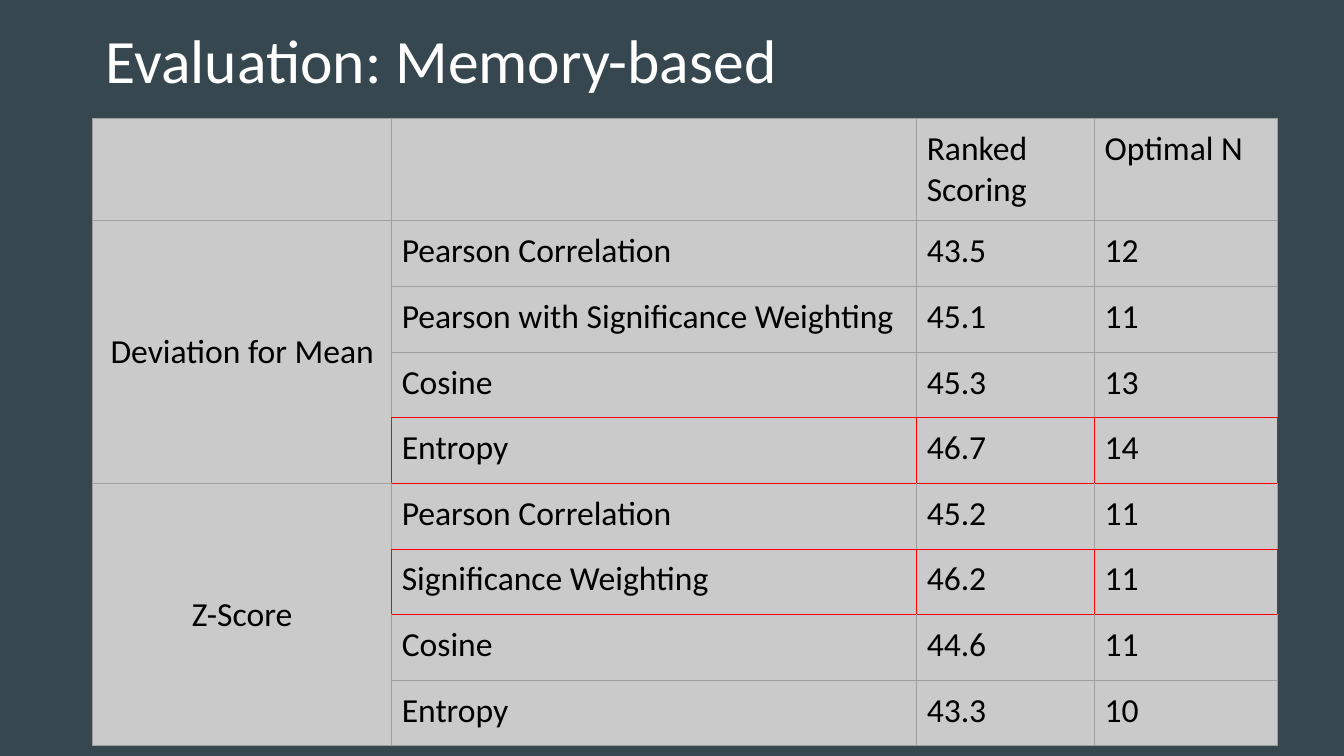
from dataclasses import dataclass
from lxml.etree import SubElement
from pptx import Presentation
from pptx.dml.color import RGBColor
from pptx.enum.text import MSO_ANCHOR, PP_ALIGN
from pptx.oxml.ns import qn
from pptx.util import Pt


@dataclass(frozen=True)
class Theme:
    background: str = "37474F"
    title: str = "FFFFFF"
    text: str = "000000"
    cell: str = "CACACA"
    grid: str = "9E9E9E"
    highlight: str = "FF0000"
    font: str = "Calibri"
    title_size: int = 44
    text_size: int = 24
    grid_width: float = 0.75


theme = Theme()


def add_run(paragraph, text, size, color):
    run = paragraph.add_run()
    run.text = text
    run.font.name = theme.font
    run.font.size = Pt(size)
    run.font.color.rgb = RGBColor.from_string(color)


def set_border(cell, side, color):
    line = SubElement(cell._tc.get_or_add_tcPr(), qn(f"a:ln{side}"), w=str(Pt(theme.grid_width)))
    SubElement(SubElement(line, qn("a:solidFill")), qn("a:srgbClr"), val=color)


presentation = Presentation()
presentation.slide_width = Pt(960)
presentation.slide_height = Pt(540)
slide = presentation.slides.add_slide(presentation.slide_layouts[5])
slide.background.fill.solid()
slide.background.fill.fore_color.rgb = RGBColor.from_string(theme.background)

title = slide.shapes.title
title.left, title.top, title.width, title.height = Pt(66), Pt(-6.5), Pt(828), Pt(104.4)
heading = title.text_frame
heading.margin_left = heading.margin_right = heading.margin_top = heading.margin_bottom = Pt(9.4)
heading.vertical_anchor = MSO_ANCHOR.MIDDLE
heading.word_wrap = True
heading.paragraphs[0].alignment = PP_ALIGN.LEFT
heading.paragraphs[0].line_spacing = 0.9
add_run(heading.paragraphs[0], "Evaluation: Memory-based", theme.title_size, theme.title)

results = [
    ("", "", "Ranked Scoring", "Optimal N"),
    ("Deviation for Mean", "Pearson Correlation", "43.5", "12"),
    ("", "Pearson with Significance Weighting", "45.1", "11"),
    ("", "Cosine", "45.3", "13"),
    ("", "Entropy", "46.7", "14"),
    ("Z-Score", "Pearson Correlation", "45.2", "11"),
    ("", "Significance Weighting", "46.2", "11"),
    ("", "Cosine", "44.6", "11"),
    ("", "Entropy", "43.3", "10"),
]
column_widths = [213.6, 375, 127, 131]
header_height, row_height = 73, 46.9
best_rows = {4, 6}
group_size = 4

table = slide.shapes.add_table(
    len(results), len(column_widths), Pt(66.2), Pt(84.7),
    Pt(sum(column_widths)), Pt(header_height + row_height * (len(results) - 1)),
).table
table.first_row = False
table.horz_banding = False
for column, width in zip(table.columns, column_widths):
    column.width = Pt(width)

for r, values in enumerate(results):
    table.rows[r].height = Pt(row_height if r else header_height)
    for c, value in enumerate(values):
        cell = table.cell(r, c)
        is_group = c == 0 and r > 0
        for side, neighbour in (("L", r), ("R", r), ("T", r - 1), ("B", r + 1)):
            is_best = c > 0 and best_rows & {r, neighbour}
            set_border(cell, side, theme.highlight if is_best else theme.grid)
        cell.fill.solid()
        cell.fill.fore_color.rgb = RGBColor.from_string(theme.cell)
        cell.margin_left = cell.margin_right = cell.margin_top = cell.margin_bottom = Pt(7.2)
        cell.vertical_anchor = MSO_ANCHOR.MIDDLE if is_group else MSO_ANCHOR.TOP
        if value:
            paragraph = cell.text_frame.paragraphs[0]
            paragraph.alignment = PP_ALIGN.CENTER if is_group else PP_ALIGN.LEFT
            add_run(paragraph, value, theme.text_size, theme.text)

for first in range(1, len(results), group_size):
    table.cell(first, 0).merge(table.cell(first + group_size - 1, 0))

presentation.save("out.pptx")
